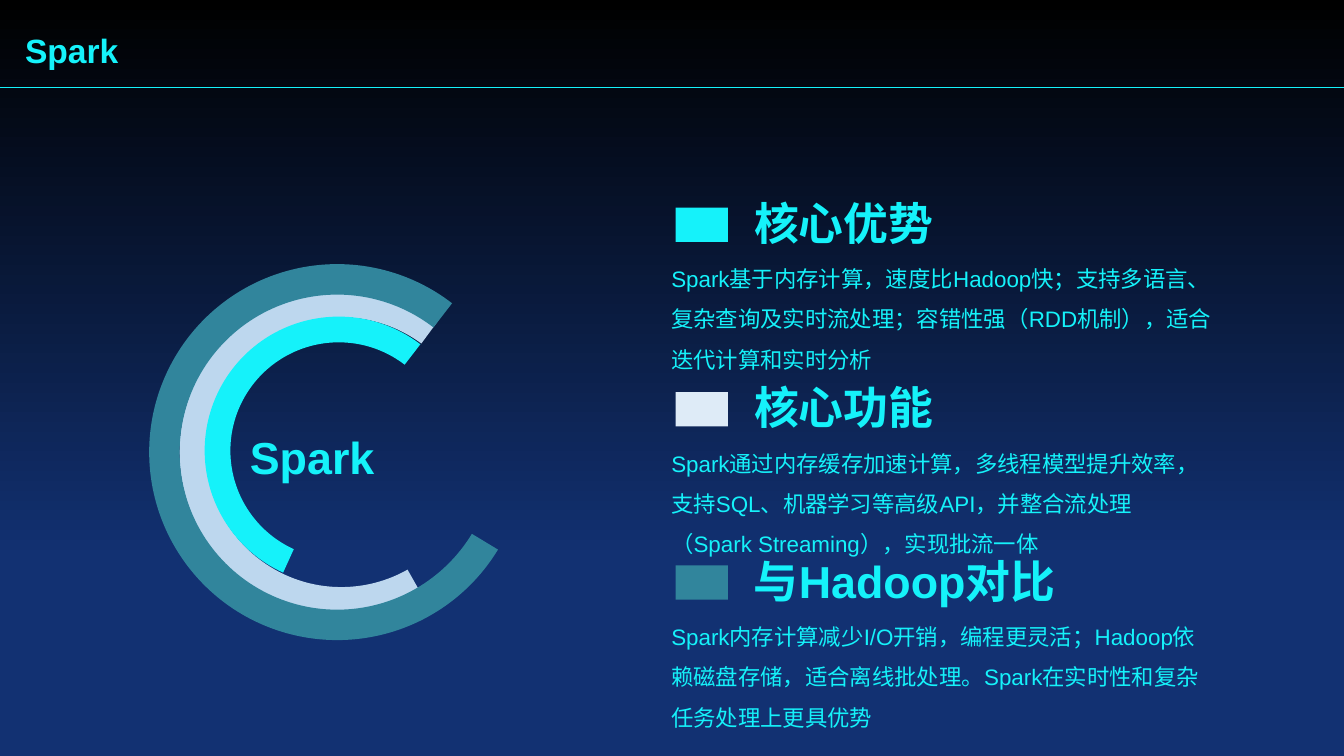
import pptx
import pptx.dml.color
import pptx.enum.shapes
import pptx.enum.text
import pptx.oxml
import pptx.util

Inches = pptx.util.Inches
SHAPE = pptx.enum.shapes.MSO_SHAPE
COLORS = {
    "black": "000000",
    "navy": "123172",
    "cyan": "15F2FA",
    "pale": "BDD7EE",
    "ice": "DEEBF7",
    "teal": "31859C",
}
# size, rotation, adjustments, colour; left and top come first
ARCS = [
    (1.78, 2.88, 3.21, 270, (90.347, 21.83, 0.083), "pale"),
    (2.03, 3.14, 2.66, 273.8, (120.429, 20.213, 0.096), "cyan"),
    (1.48, 2.62, 3.73, 270, (72.745, 22.59, 0.081), "teal"),
]
TOPICS = [
    (2.06, "cyan", 2.95, "核心优势",
     "Spark基于内存计算，速度比Hadoop快；支持多语言、复杂查询及实时流处理；"
     "容错性强（RDD机制），适合迭代计算和实时分析"),
    (3.89, "ice", 2.95, "核心功能",
     "Spark通过内存缓存加速计算，多线程模型提升效率，支持SQL、机器学习等高级API，"
     "并整合流处理（Spark Streaming），实现批流一体"),
    (5.61, "teal", 3.73, "与Hadoop对比",
     "Spark内存计算减少I/O开销，编程更灵活；Hadoop依赖磁盘存储，适合离线批处理。"
     "Spark在实时性和复杂任务处理上更具优势"),
]


def rgb(name):
    return pptx.dml.color.RGBColor.from_string(COLORS[name])


class Deck:
    """Holds the text style and the current slide."""

    font = "Arial"
    ink = "cyan"

    def __init__(self):
        self.prs = pptx.Presentation()
        self.prs.slide_width = Inches(13.33)
        self.prs.slide_height = Inches(7.5)
        self.slide = self.prs.slides.add_slide(self.prs.slide_layouts[6])
        self.shapes = self.slide.shapes

    def shade(self, stops):
        """Fill the background with a gradient from top to bottom."""
        fill = self.slide.background.fill
        fill.gradient()
        fill.gradient_angle = 270
        for stop, (place, color) in zip(fill.gradient_stops, stops):
            stop.position = place
            stop.color.rgb = rgb(color)

    def rule(self, top):
        line = self.shapes.add_connector(
            pptx.enum.shapes.MSO_CONNECTOR.STRAIGHT,
            0, Inches(top), self.prs.slide_width, Inches(top))
        line.line.color.rgb = rgb(self.ink)
        line.line.width = pptx.util.Pt(0.5)
        line._element.spPr.append(pptx.oxml.parse_xml(
            '<a:effectLst xmlns:a='
            '"http://schemas.openxmlformats.org/drawingml/2006/main"/>'))

    def shape(self, kind, box, color, home=None):
        item = (home or self.shapes).add_shape(kind, *map(Inches, box))
        item.shadow.inherit = False
        item.fill.solid()
        item.fill.fore_color.rgb = rgb(color)
        item.line.fill.background()
        return item

    def arc(self, left, top, size, turn, shape, color):
        item = self.shape(SHAPE.BLOCK_ARC, (left, top, size, size), color)
        item.rotation = turn
        for i, value in enumerate(shape):
            item.adjustments[i] = value

    def text(self, box, words, size, bold=True, space=None, home=None):
        item = (home or self.shapes).add_textbox(*map(Inches, box))
        frame = item.text_frame
        frame.word_wrap = True
        frame.auto_size = pptx.enum.text.MSO_AUTO_SIZE.SHAPE_TO_FIT_TEXT
        para = frame.paragraphs[0]
        para.text = words
        para.line_spacing = space
        para.font.name = self.font
        para.font.size = pptx.util.Pt(size)
        para.font.bold = bold
        para.font.color.rgb = rgb(self.ink)

    def topic(self, top, color, width, head, body):
        """Group a colour key with its heading and paragraph."""
        home = self.shapes.add_group_shape().shapes
        self.shape(SHAPE.RECTANGLE, (6.7, top, 0.52, 0.34), color, home)
        self.text((6.56, top + 0.39, 5.56, 1.26), body, 16, False, 1.5, home)
        self.text((7.38, top - 0.17, width, 0.64), head, 32, home=home)


def main():
    deck = Deck()
    deck.shade([(0, "black"), (0.74, "navy")])
    deck.text((0.15, 0.25, 4.25, 0.5), "Spark", 24)
    deck.rule(0.87)
    for arc in ARCS:
        deck.arc(*arc)
    deck.text((2.38, 4.21, 2.95, 0.64), "Spark", 32)
    for topic in TOPICS:
        deck.topic(*topic)
    deck.prs.save("out.pptx")


if __name__ == "__main__":
    main()
